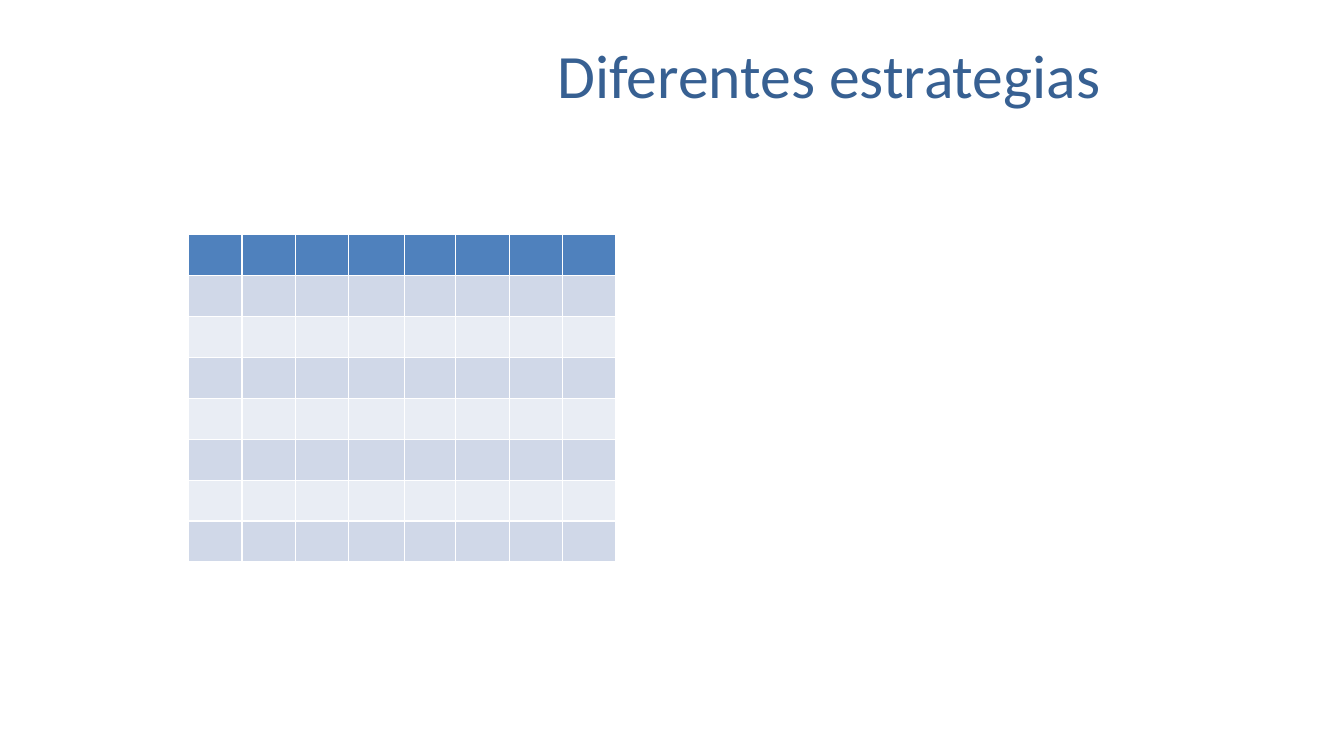
import dataclasses

import lxml.etree
import pptx
import pptx.dml.color
import pptx.enum.text
import pptx.oxml.ns
import pptx.presentation
import pptx.slide
import pptx.table
import pptx.util

EMU_PER_PX = 9144
COLORS = {
    "title": "376092",
    "header": "4F81BD",
    "odd": "D0D8E8",
    "even": "E9EDF4",
    "border": "FFFFFF",
}
COLUMN_WIDTHS = (53, 53, 53, 55, 51, 53, 53, 53)
ROW_HEIGHT = 40
BORDER_WIDTH = pptx.util.Pt(1)


@dataclasses.dataclass(frozen=True)
class Band:
    color: str
    height: int = ROW_HEIGHT


BANDS = [Band("header")] + [Band("odd" if row % 2 else "even") for row in range(1, 8)]


def px(length: int) -> pptx.util.Emu:
    return pptx.util.Emu(length * EMU_PER_PX)


def rgb(name: str) -> pptx.dml.color.RGBColor:
    return pptx.dml.color.RGBColor.from_string(COLORS[name])


def draw_borders(cell: pptx.table._Cell) -> None:
    properties = cell._tc.get_or_add_tcPr()
    for side in ("lnL", "lnR", "lnT", "lnB"):
        line = lxml.etree.SubElement(
            properties, pptx.oxml.ns.qn(f"a:{side}"), w=str(BORDER_WIDTH)
        )
        fill = lxml.etree.SubElement(line, pptx.oxml.ns.qn("a:solidFill"))
        lxml.etree.SubElement(
            fill, pptx.oxml.ns.qn("a:srgbClr"), val=COLORS["border"]
        )


def draw_band(table: pptx.table.Table, index: int, band: Band) -> None:
    row = table.rows[index]
    row.height = px(band.height)
    for cell in row.cells:
        draw_borders(cell)
        cell.fill.solid()
        cell.fill.fore_color.rgb = rgb(band.color)


def draw_grid(page: pptx.slide.Slide) -> None:
    table = page.shapes.add_table(
        len(BANDS),
        len(COLUMN_WIDTHS),
        px(187),
        px(233),
        px(sum(COLUMN_WIDTHS)),
        px(sum(band.height for band in BANDS)),
    ).table
    for column, width in zip(table.columns, COLUMN_WIDTHS):
        column.width = px(width)
    for index, band in enumerate(BANDS):
        draw_band(table, index, band)


def draw_title(page: pptx.slide.Slide) -> None:
    title = page.shapes.title
    title.left, title.top, title.width, title.height = map(px, (378, 30, 889, 86))
    frame = title.text_frame
    frame.text = "Diferentes estrategias"
    frame.word_wrap = True
    frame.vertical_anchor = pptx.enum.text.MSO_ANCHOR.MIDDLE
    paragraph = frame.paragraphs[0]
    paragraph.alignment = pptx.enum.text.PP_ALIGN.CENTER
    paragraph.font.name = "Calibri"
    paragraph.font.size = pptx.util.Pt(44)
    paragraph.font.color.rgb = rgb("title")


def main() -> None:
    deck = pptx.Presentation()
    deck.slide_width, deck.slide_height = px(1333), px(750)
    page = deck.slides.add_slide(deck.slide_layouts.get_by_name("Title Only"))
    draw_title(page)
    draw_grid(page)
    deck.save("out.pptx")


if __name__ == "__main__":
    main()
